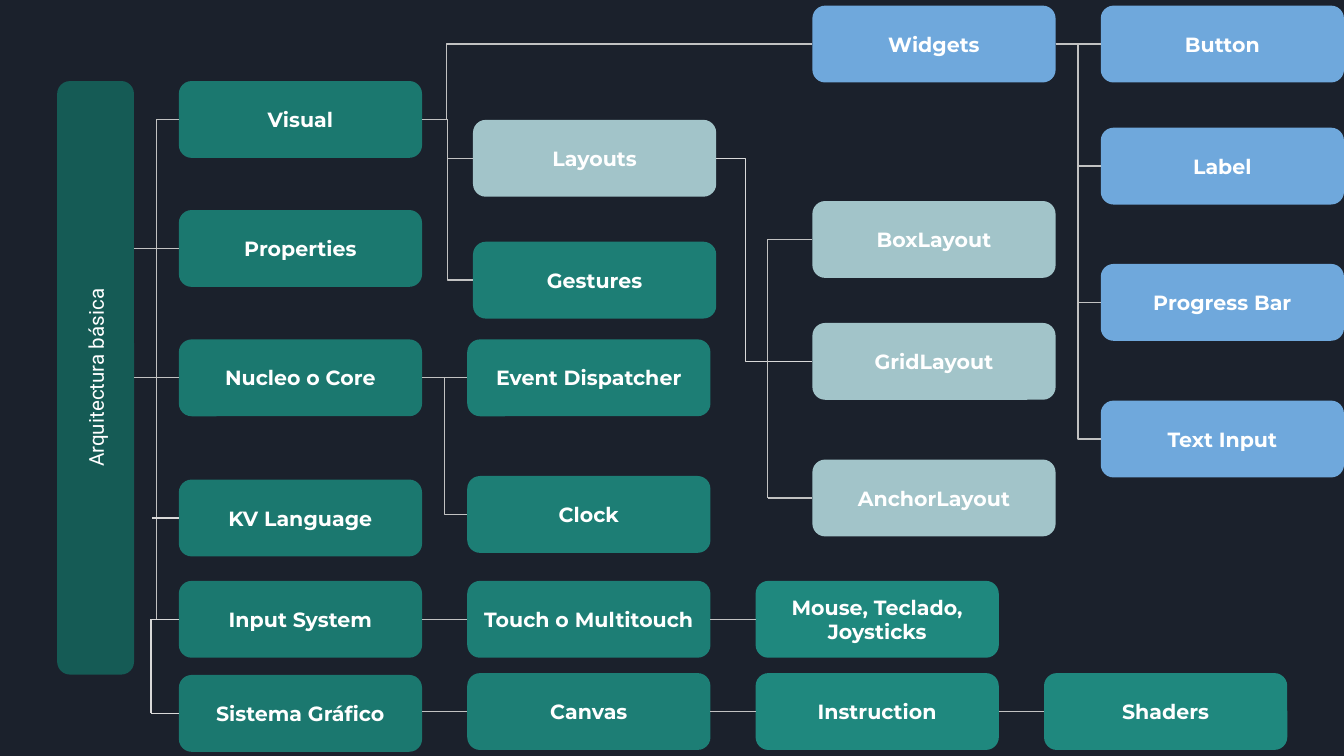
from dataclasses import dataclass

import pptx
import pptx.dml.color
import pptx.enum.shapes
import pptx.enum.text
import pptx.oxml
import pptx.shapes.autoshape
import pptx.shapes.connector
import pptx.slide
import pptx.util

Pt = pptx.util.Pt
RGBColor = pptx.dml.color.RGBColor
Connector = pptx.shapes.connector.Connector
Shape = pptx.shapes.autoshape.Shape
CONNECTOR = pptx.enum.shapes.MSO_CONNECTOR

NIGHT = RGBColor(0x1B, 0x21, 0x2C)
WHITE = RGBColor(0xFF, 0xFF, 0xFF)
ROOT_GREEN = RGBColor(0x15, 0x5B, 0x55)
DARK_GREEN = RGBColor(0x1B, 0x78, 0x6F)
MIDDLE_GREEN = RGBColor(0x1D, 0x7E, 0x75)
LIGHT_GREEN = RGBColor(0x1F, 0x88, 0x7E)
MIST = RGBColor(0xA2, 0xC4, 0xC9)
BLUE = RGBColor(0x6F, 0xA8, 0xDC)
GREY = RGBColor(0xC2, 0xC2, 0xC2)
PALE_GREY = RGBColor(0xD9, 0xD9, 0xD9)

NODE_WIDTH = 130.3
NODE_HEIGHT = 41.2
COLUMN_STEP = 154.5
FIRST, VISUAL_PARTS, WIDGETS = 95.8, 253.4, 435.2
SECOND, THIRD, FOURTH = (FIRST + COLUMN_STEP * step for step in (1, 2, 3))
CONTROLS = WIDGETS + COLUMN_STEP
ROOT = "Arquitectura básica"
ROOT_LENGTH = 318
ROOT_RIGHT = 71.8
TOP, LEFT, BOTTOM, RIGHT = range(4)

FRAME_FORMAT = {
    "word_wrap": True,
    "vertical_anchor": pptx.enum.text.MSO_ANCHOR.MIDDLE,
    "margin_left": Pt(7.2),
    "margin_right": Pt(7.2),
    "margin_top": Pt(7.2),
    "margin_bottom": Pt(7.2),
}
NODE_FONT = {"name": "Montserrat", "size": Pt(11), "bold": True}
ROOT_FONT = {"name": "Roboto", "size": Pt(11), "bold": False}


@dataclass(frozen=True)
class Node:
    text: str
    left: float
    top: float
    fill: RGBColor


@dataclass(frozen=True)
class Link:
    parent: str
    child: str
    bend: float = 0.5
    color: RGBColor = GREY


@dataclass(frozen=True)
class Bracket:
    x: float
    children: tuple[str, ...]
    color: RGBColor = GREY


NODES = [
    Node("Visual", FIRST, 43.4, DARK_GREEN),
    Node("Properties", FIRST, 112.5, DARK_GREEN),
    Node("Nucleo o Core", FIRST, 181.8, DARK_GREEN),
    Node("KV Language", FIRST, 256.9, DARK_GREEN),
    Node("Input System", FIRST, 311.2, DARK_GREEN),
    Node("Sistema Gráfico", FIRST, 361.6, DARK_GREEN),
    Node("Layouts", VISUAL_PARTS, 64.2, MIST),
    Node("Gestures", VISUAL_PARTS, 129.5, MIDDLE_GREEN),
    Node("Event Dispatcher", SECOND, 181.8, MIDDLE_GREEN),
    Node("Clock", SECOND, 255, MIDDLE_GREEN),
    Node("Touch o Multitouch", SECOND, 311.2, MIDDLE_GREEN),
    Node("Canvas", SECOND, 360.6, MIDDLE_GREEN),
    Node("Mouse, Teclado, Joysticks", THIRD, 311.2, LIGHT_GREEN),
    Node("Instruction", THIRD, 360.6, LIGHT_GREEN),
    Node("Shaders", FOURTH, 360.6, LIGHT_GREEN),
    Node("Widgets", WIDGETS, 3, BLUE),
    Node("BoxLayout", WIDGETS, 107.7, MIST),
    Node("GridLayout", WIDGETS, 173, MIST),
    Node("AnchorLayout", WIDGETS, 246.2, MIST),
    Node("Button", CONTROLS, 3, BLUE),
    Node("Label", CONTROLS, 68.4, BLUE),
    Node("Progress Bar", CONTROLS, 141.4, BLUE),
    Node("Text Input", CONTROLS, 214.6, BLUE),
]
LINKS = [
    Link(ROOT, "Visual"),
    Link(ROOT, "Nucleo o Core"),
    Link(ROOT, "Input System"),
    Link("Visual", "Widgets", 0.063),
    Link("Visual", "Layouts"),
    Link("Visual", "Gestures"),
    Link("Layouts", "GridLayout", 0.307, PALE_GREY),
    Link("Nucleo o Core", "Event Dispatcher"),
    Link("Nucleo o Core", "Clock"),
    Link("Input System", "Touch o Multitouch"),
    Link("Touch o Multitouch", "Mouse, Teclado, Joysticks"),
    Link("Canvas", "Instruction"),
    Link("Instruction", "Shaders"),
    Link("Widgets", "Button"),
    Link("Widgets", "Label"),
    Link("Widgets", "Progress Bar"),
    Link("Widgets", "Text Input"),
]
BRACKETS = [
    Bracket(ROOT_RIGHT, ("Properties",)),
    Bracket(81.6, ("KV Language",), PALE_GREY),
    Bracket(81, ("Input System", "Sistema Gráfico"), PALE_GREY),
    Bracket(FIRST + NODE_WIDTH, ("Canvas",)),
    Bracket(411.2, ("BoxLayout", "AnchorLayout")),
]


def apply_format(target: object, values: dict) -> None:
    for name, value in values.items():
        setattr(target, name, value)


def draw_node(slide: pptx.slide.Slide, node: Node, width: float, font: dict) -> Shape:
    shape = slide.shapes.add_shape(
        pptx.enum.shapes.MSO_SHAPE.ROUNDED_RECTANGLE,
        Pt(node.left), Pt(node.top), Pt(width), Pt(NODE_HEIGHT),
    )
    shape.shadow.inherit = False
    shape.fill.solid()
    shape.fill.fore_color.rgb = node.fill
    shape.line.fill.background()
    apply_format(shape.text_frame, FRAME_FORMAT)
    paragraph = shape.text_frame.paragraphs[0]
    paragraph.text = node.text
    paragraph.alignment = pptx.enum.text.PP_ALIGN.CENTER
    apply_format(paragraph.font, font)
    paragraph.font.color.rgb = WHITE
    return shape


def draw_line(slide: pptx.slide.Slide, kind: CONNECTOR, color: RGBColor,
              start: tuple[int, int], end: tuple[int, int]) -> Connector:
    connector = slide.shapes.add_connector(kind, *start, *end)
    connector.line.color.rgb = color
    connector.line.width = Pt(0.75)
    pptx.oxml.xmlchemy.OxmlElement
    effects = pptx.oxml.xmlchemy.OxmlElement("a:effectLst")
    connector._element.spPr.append(effects)
    return connector


def left_middle(shape: Shape) -> tuple[int, int]:
    return shape.left, shape.top + shape.height // 2


def draw_link(slide: pptx.slide.Slide, link: Link, shapes: dict[str, Shape]) -> None:
    parent, child = shapes[link.parent], shapes[link.child]
    is_root = link.parent == ROOT
    right = Pt(ROOT_RIGHT) if is_root else parent.left + parent.width
    start, end = (right, left_middle(parent)[1]), left_middle(child)
    kind = CONNECTOR.STRAIGHT if start[1] == end[1] else CONNECTOR.ELBOW
    connector = draw_line(slide, kind, link.color, start, end)
    connector.begin_connect(parent, BOTTOM if is_root else RIGHT)
    connector.begin_x, connector.begin_y = start
    connector.end_connect(child, LEFT)
    if link.bend != 0.5:
        guide = pptx.oxml.xmlchemy.OxmlElement("a:gd")
        guide.set("name", "adj1")
        guide.set("fmla", f"val {round(link.bend * 100000)}")
        connector._element.spPr.prstGeom.get_or_add_avLst().append(guide)


def draw_bracket(slide: pptx.slide.Slide, bracket: Bracket, shapes: dict[str, Shape]) -> None:
    x = Pt(bracket.x)
    ends = [left_middle(shapes[child]) for child in bracket.children]
    for child, end in zip(bracket.children, ends):
        stub = draw_line(slide, CONNECTOR.STRAIGHT, bracket.color, (x, end[1]), end)
        stub.end_connect(shapes[child], LEFT)
    if len(ends) > 1:
        draw_line(slide, CONNECTOR.STRAIGHT, bracket.color, (x, ends[0][1]), (x, ends[-1][1]))


def main() -> None:
    presentation = pptx.Presentation()
    apply_format(presentation, {"slide_width": Pt(720), "slide_height": Pt(405)})
    slide = presentation.slides.add_slide(presentation.slide_layouts[6])
    slide.background.fill.solid()
    slide.background.fill.fore_color.rgb = NIGHT

    shapes = {node.text: draw_node(slide, node, NODE_WIDTH, NODE_FONT) for node in NODES}
    root_left = ROOT_RIGHT - (NODE_HEIGHT + ROOT_LENGTH) / 2
    root = Node(ROOT, root_left, 181.8, ROOT_GREEN)
    shapes[ROOT] = draw_node(slide, root, ROOT_LENGTH, ROOT_FONT)
    shapes[ROOT].rotation = 270

    for link in LINKS:
        draw_link(slide, link, shapes)
    for bracket in BRACKETS:
        draw_bracket(slide, bracket, shapes)
    presentation.save("out.pptx")


if __name__ == "__main__":
    main()
